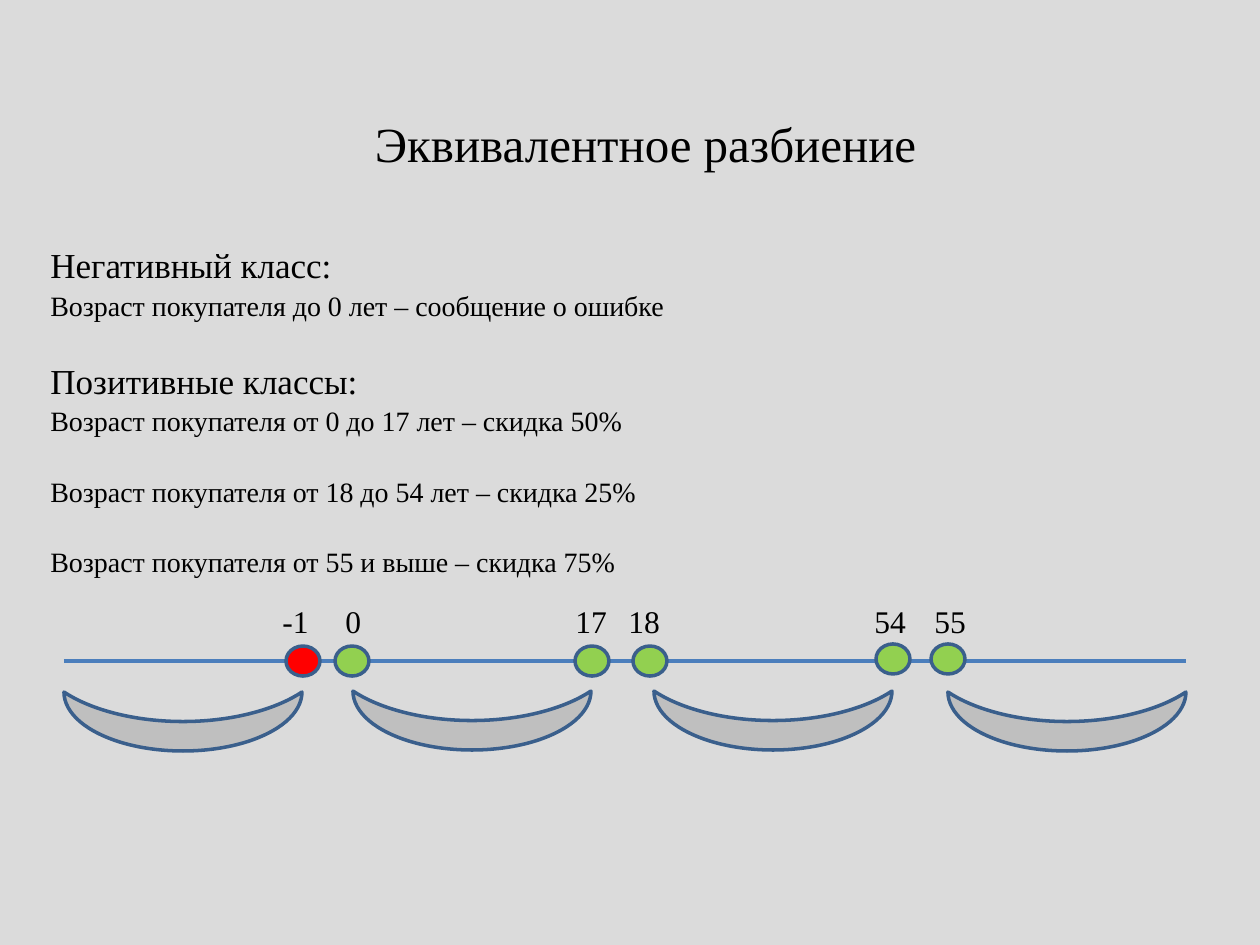
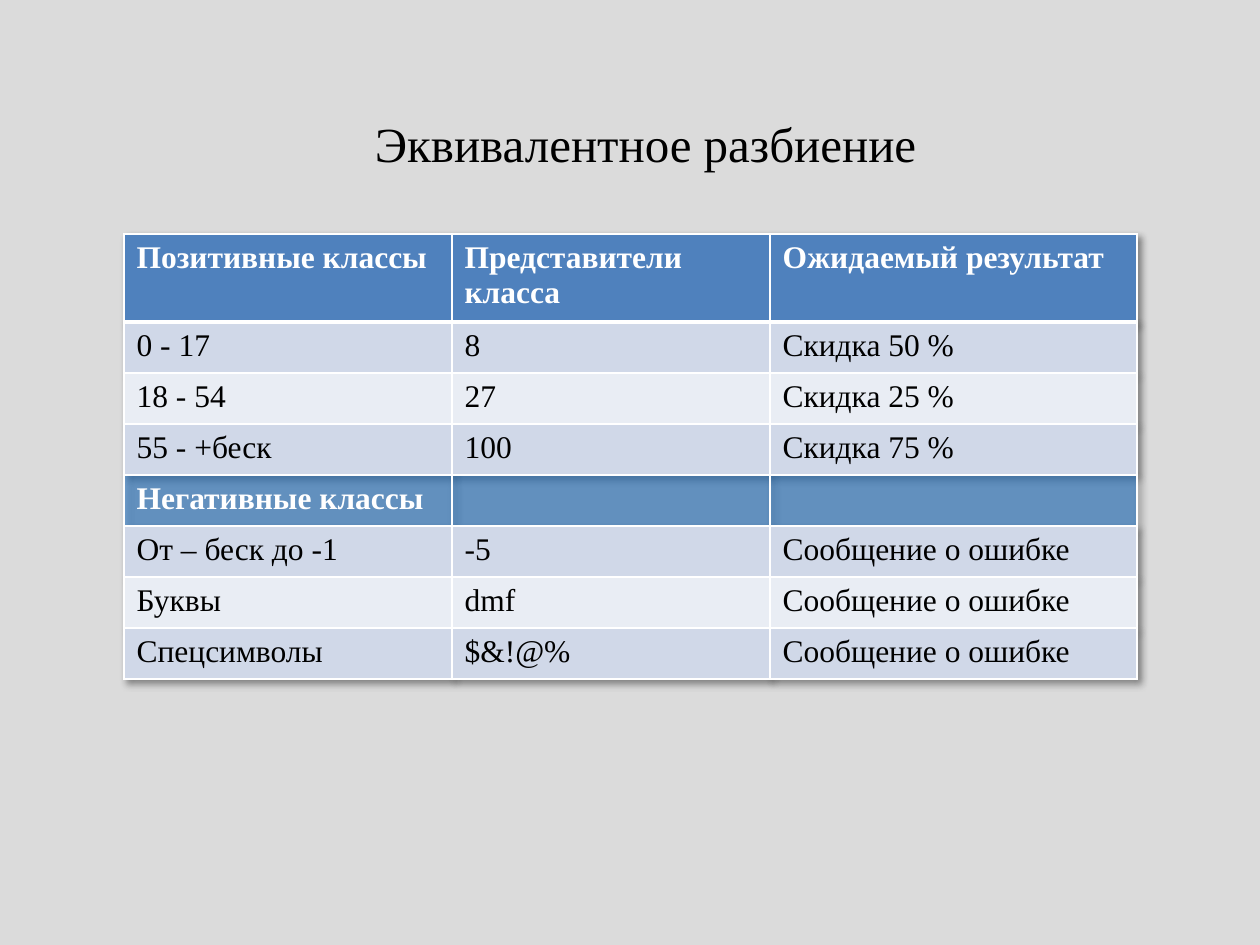
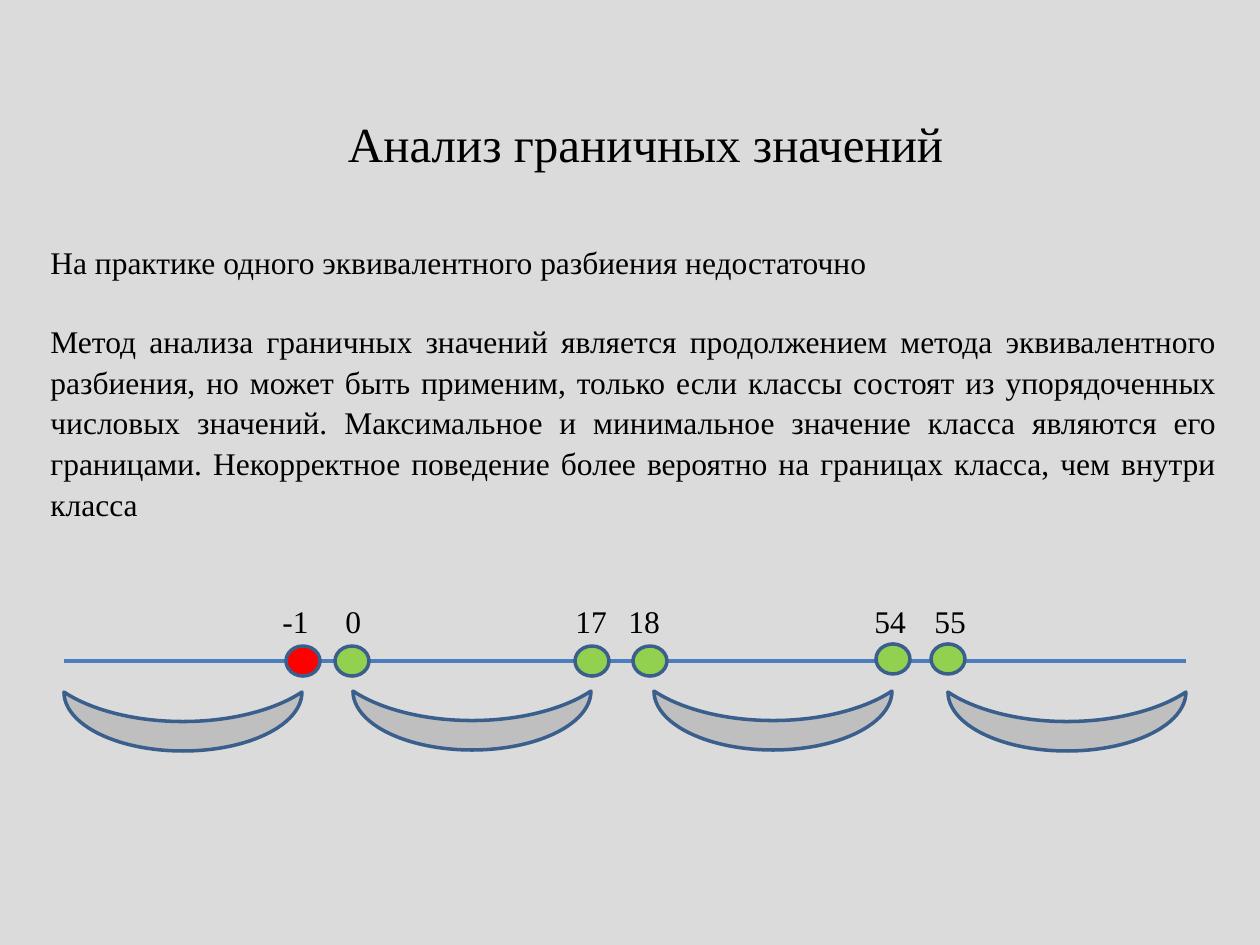
from collections import namedtuple

from lxml import etree
from pptx import Presentation
from pptx.dml.color import RGBColor
from pptx.enum.shapes import MSO_CONNECTOR, MSO_SHAPE
from pptx.enum.text import MSO_ANCHOR, MSO_AUTO_SIZE, PP_ALIGN
from pptx.oxml.ns import qn
from pptx.util import Emu, Pt

STRAIGHT = MSO_CONNECTOR.STRAIGHT
OVAL, MOON = MSO_SHAPE.OVAL, MSO_SHAPE.MOON
TOP = MSO_ANCHOR.TOP
FIXED, GROW = MSO_AUTO_SIZE.NONE, MSO_AUTO_SIZE.SHAPE_TO_FIT_TEXT
LEFT, CENTER, JUSTIFY = PP_ALIGN.LEFT, PP_ALIGN.CENTER, PP_ALIGN.JUSTIFY

FONT = "Times New Roman"
LINE_SPACING = 1.08
EMU_PER_PX = 914400 / 126

BLACK = RGBColor(0x00, 0x00, 0x00)
WHITE = RGBColor(0xFF, 0xFF, 0xFF)
PAPER = RGBColor(0xDB, 0xDB, 0xDB)
AXIS_BLUE = RGBColor(0x4B, 0x7E, 0xBC)
OUTLINE = RGBColor(0x3A, 0x5F, 0x8C)
GRAY = RGBColor(0xBF, 0xBF, 0xBF)
RED = RGBColor(0xFF, 0x00, 0x00)
GREEN = RGBColor(0x92, 0xD0, 0x50)
HEADER_BLUE = RGBColor(0x4F, 0x81, 0xBD)
SECTION_BLUE = RGBColor(0x00, 0x66, 0xCC)
BAND_DARK = RGBColor(0xD0, 0xD8, 0xE8)
BAND_LIGHT = RGBColor(0xE9, 0xED, 0xF4)

Box = namedtuple("Box", "left top width height")
Line = namedtuple("Line", "text size gap")
Marker = namedtuple("Marker", "text x y label_x label_width color")

TITLE_BOX = Box(50, 103, 1191, 72)
BODY_BOX = Box(38, 234, 1191, 335)
AXIS_BOX = Box(64, 593, 1122, 160)
TABLE_BOX = Box(124, 234, 1013, 446)

CLASS_LINES = [
    Line("Негативный класс:", 20, 0),
    Line("Возраст покупателя до 0 лет – сообщение о ошибке", 16, 0),
    Line("Позитивные классы:", 20, 34),
    Line("Возраст покупателя от 0 до 17 лет – скидка 50%", 16, 0),
    Line("Возраст покупателя от 18 до 54 лет – скидка 25%", 16, 34),
    Line("Возраст покупателя от 55 и выше – скидка 75%", 16, 34),
]
BOUNDARY_LINES = [
    Line("На практике одного эквивалентного разбиения недостаточно", 18, 0),
    Line("Метод анализа граничных значений является продолжением метода "
         "эквивалентного разбиения, но может быть применим, только если классы "
         "состоят из упорядоченных числовых значений. Максимальное и минимальное "
         "значение класса являются его границами. Некорректное поведение более "
         "вероятно на границах класса, чем внутри класса", 18, 38),
]

MARKERS = [
    Marker("-1", 222, 53, 206, 57, RED),
    Marker("0", 271, 53, 269, 42, GREEN),
    Marker("17", 511, 53, 499, 57, GREEN),
    Marker("18", 569, 53, 552, 57, GREEN),
    Marker("54", 812, 51, 798, 57, GREEN),
    Marker("55", 867, 51, 858, 57, GREEN),
]
MARKER_WIDTH, MARKER_HEIGHT = 34, 30
MOONS = [(0, 99), (289, 98), (590, 98), (884, 99)]
MOON_LENGTH, MOON_DEPTH = 238, 59

COLUMN_WIDTHS = [328, 318, 367]
HEADER_HEIGHT, ROW_HEIGHT = 88, 51
HEADER_ROW, SECTION_ROW = 0, 4
CLASS_ROWS = [
    ("Позитивные классы", "Представители класса", "Ожидаемый результат"),
    ("0 - 17", "8", "Скидка 50 %"),
    ("18 - 54", "27", "Скидка 25 %"),
    ("55 - +беск", "100", "Скидка 75 %"),
    ("Негативные классы", "", ""),
    ("От – беск до -1", "-5", "Сообщение о ошибке"),
    ("Буквы", "dmf", "Сообщение о ошибке"),
    ("Спецсимволы", "$&!@%", "Сообщение о ошибке"),
]


def px(length):
    return Emu(round(length * EMU_PER_PX))


def px_all(*lengths):
    return [px(length) for length in lengths]


def format_para(para, size, align=LEFT, color=BLACK, bold=False):
    para.alignment = align
    for span in para.runs:
        span.font.name = FONT
        span.font.size = Pt(size)
        span.font.color.rgb = color
        span.font.bold = bold


def add_text(shapes, box, lines, align, wrap=True):
    frame = shapes.add_textbox(*px_all(*box)).text_frame
    frame.word_wrap = wrap
    frame.auto_size = GROW
    frame.text = "\n".join(line.text for line in lines)
    for para, line in zip(frame.paragraphs, lines):
        para.line_spacing = LINE_SPACING
        para.space_before = px(line.gap)
        format_para(para, line.size, align)


def add_page(deck, heading):
    page = deck.slides.add_slide(deck.slide_layouts[5])
    page.background.fill.solid()
    page.background.fill.fore_color.rgb = PAPER
    title = page.shapes.title
    title.left, title.top, title.width, title.height = px_all(*TITLE_BOX)
    frame = title.text_frame
    frame.text = heading
    frame.word_wrap = True
    frame.auto_size = FIXED
    frame.vertical_anchor = TOP
    frame.paragraphs[0].line_spacing = LINE_SPACING
    format_para(frame.paragraphs[0], 28, CENTER)
    return page


def add_outlined(shapes, kind, box, color):
    shape = shapes.add_shape(kind, *px_all(*box))
    shape.shadow.inherit = False
    shape.fill.solid()
    shape.fill.fore_color.rgb = color
    shape.line.color.rgb = OUTLINE
    shape.line.width = Pt(2)
    return shape


def add_number_axis(page, box):
    shapes = page.shapes.add_group_shape().shapes
    axis_y = box.top + 68
    axis = shapes.add_connector(
        STRAIGHT, *px_all(box.left, axis_y, box.left + box.width, axis_y))
    axis.line.color.rgb = AXIS_BLUE
    axis.line.width = Pt(2)
    etree.SubElement(axis._element.spPr, qn("a:effectLst"))
    inset = (MOON_LENGTH - MOON_DEPTH) / 2
    for x, y in MOONS:
        moon_box = Box(box.left + x + inset, box.top + y - inset, MOON_DEPTH, MOON_LENGTH)
        add_outlined(shapes, MOON, moon_box, GRAY).rotation = 270
    for marker in MARKERS:
        dot_box = Box(box.left + marker.x, box.top + marker.y, MARKER_WIDTH, MARKER_HEIGHT)
        add_outlined(shapes, OVAL, dot_box, marker.color)
        label_box = Box(box.left + marker.label_x, box.top, marker.label_width, 50)
        add_text(shapes, label_box, [Line(marker.text, 18, 0)], LEFT, wrap=False)


def add_color(parent, color, opacity=100):
    node = etree.SubElement(parent, qn("a:srgbClr"), val=str(color))
    etree.SubElement(node, qn("a:alpha"), val=str(opacity * 1000))


def add_table_shadow(table):
    effects = etree.Element(qn("a:effectLst"))
    shadow = etree.SubElement(effects, qn("a:outerShdw"), blurRad="50800",
                              dist="38100", dir="2700000", algn="tl", rotWithShape="0")
    add_color(shadow, BLACK, 40)
    table._tbl.tblPr.insert(0, effects)


def format_cell(cell, row):
    properties = cell._tc.get_or_add_tcPr()
    for side in ("lnL", "lnR", "lnT", "lnB"):
        thick = (row, side) in ((HEADER_ROW, "lnB"), (HEADER_ROW + 1, "lnT"))
        border = etree.SubElement(properties, qn("a:" + side), w=str(Pt(3 if thick else 1)))
        add_color(etree.SubElement(border, qn("a:solidFill")), WHITE)
    heading = row in (HEADER_ROW, SECTION_ROW)
    if row == SECTION_ROW:
        add_color(etree.SubElement(properties, qn("a:solidFill")), SECTION_BLUE, 45)
    else:
        cell.fill.solid()
        band = BAND_DARK if row % 2 else BAND_LIGHT
        cell.fill.fore_color.rgb = HEADER_BLUE if heading else band
    format_para(cell.text_frame.paragraphs[0], 18, LEFT, WHITE if heading else BLACK, heading)


def add_class_table(page, box):
    table = page.shapes.add_table(
        len(CLASS_ROWS), len(COLUMN_WIDTHS), *px_all(*box)).table
    add_table_shadow(table)
    for column, width in zip(table.columns, COLUMN_WIDTHS):
        column.width = px(width)
    for row, texts in enumerate(CLASS_ROWS):
        table.rows[row].height = px(HEADER_HEIGHT if row == HEADER_ROW else ROW_HEIGHT)
        for column, text in enumerate(texts):
            cell = table.cell(row, column)
            cell.text = text
            format_cell(cell, row)


def add_axis_page(deck, heading, lines):
    page = add_page(deck, heading)
    add_text(page.shapes, BODY_BOX, lines, JUSTIFY)
    add_number_axis(page, AXIS_BOX)


def add_table_page(deck, heading):
    add_class_table(add_page(deck, heading), TABLE_BOX)


def main():
    deck = Presentation()
    deck.slide_width, deck.slide_height = px_all(1260, 945)
    add_axis_page(deck, "Эквивалентное разбиение", CLASS_LINES)
    add_table_page(deck, "Эквивалентное разбиение")
    add_axis_page(deck, "Анализ граничных значений", BOUNDARY_LINES)
    deck.save("out.pptx")


if __name__ == "__main__":
    main()
